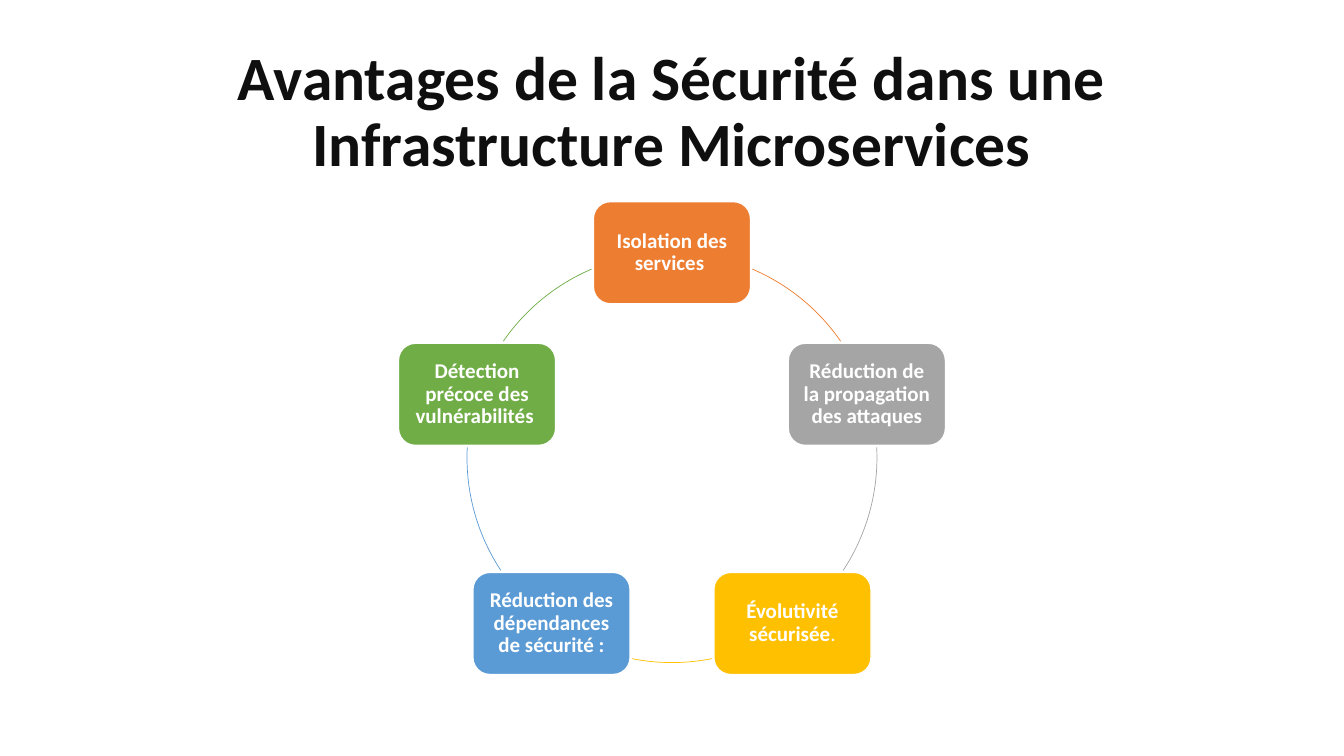
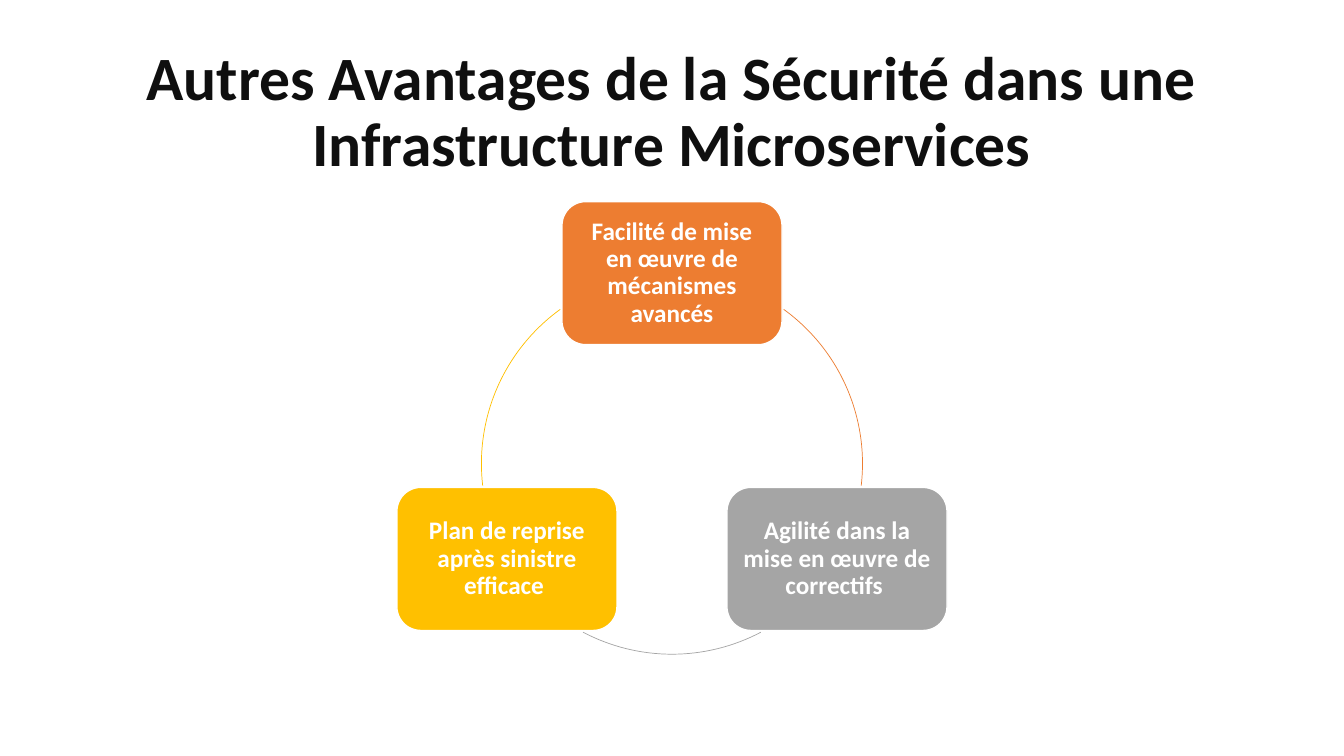
import itertools
import math
from dataclasses import dataclass

import pptx
import pptx.dml.color
import pptx.enum.shapes
import pptx.enum.text
import pptx.util

Pt = pptx.util.Pt
RGB = pptx.dml.color.RGBColor
SHAPE = pptx.enum.shapes.MSO_SHAPE


@dataclass(frozen=True)
class Theme:
    font: str = "Calibri"
    title_size: float = 44
    title_color: str = "0F0F0F"
    white: str = "FFFFFF"
    orange: str = "ED7D31"
    gray: str = "A5A5A5"
    gold: str = "FFC000"
    blue: str = "5B9BD5"
    green: str = "70AD47"


@dataclass(frozen=True)
class Run:
    text: str
    bold: bool = True


@dataclass(frozen=True)
class Node:
    color: str
    runs: tuple[Run, ...]


@dataclass(frozen=True)
class Cycle:
    title: str
    center_y: float
    radius: float
    node_width: float
    text_size: float
    nodes: tuple[Node, ...]

    @property
    def node_height(self) -> float:
        return self.node_width * NODE_RATIO


THEME = Theme()
SLIDE_W, SLIDE_H = 960, 540
TITLE_BOX = (66, 28.75, 828, 104.4)
CENTER_X = SLIDE_W / 2
NODE_RATIO = 0.65
NODE_GAP = 1.2
INSET_RATIO = 0.3
LINE_SPACING = 0.9

CYCLES = (
    Cycle(
        "Avantages de la Sécurité dans une Infrastructure Microservices",
        326.9, 146.4, 112.3, 15,
        (
            Node(THEME.orange, (Run("Isolation des services "),)),
            Node(THEME.gray, (Run("Réduction de la propagation des attaques"),)),
            Node(THEME.gold, (Run("Évolutivité sécurisée"), Run(".", False))),
            Node(THEME.blue, (Run("Réduction des dépendances de sécurité :"),)),
            Node(THEME.green, (Run("Détection précoce des vulnérabilités "),)),
        ),
    ),
    Cycle(
        "Autres Avantages de la Sécurité dans une Infrastructure Microservices",
        331.2, 136.1, 157.2, 18,
        (
            Node(THEME.orange, (Run("Facilité de mise en œuvre de mécanismes avancés"),)),
            Node(THEME.gray, (Run("Agilité dans la mise en œuvre de correctifs "),)),
            Node(THEME.gold, (Run("Plan de reprise après sinistre efficace "),)),
        ),
    ),
)


def write(tf, runs: tuple[Run, ...], size: float, color: str) -> None:
    tf.word_wrap = True
    tf.auto_size = pptx.enum.text.MSO_AUTO_SIZE.NONE
    tf.vertical_anchor = pptx.enum.text.MSO_ANCHOR.MIDDLE
    p = tf.paragraphs[0]
    p.alignment = pptx.enum.text.PP_ALIGN.CENTER
    p.line_spacing = LINE_SPACING
    for run in runs:
        r = p.add_run()
        r.text = run.text
        r.font.name = THEME.font
        r.font.size = Pt(size)
        r.font.bold = run.bold
        r.font.color.rgb = RGB.from_string(color)


def ring_point(cycle: Cycle, angle: float) -> tuple[float, float]:
    a = math.radians(angle)
    return (CENTER_X + cycle.radius * math.cos(a),
            cycle.center_y + cycle.radius * math.sin(a))


def edge_angle(cycle: Cycle, angle: float, step: float) -> float:
    x, y = ring_point(cycle, angle)
    for a in itertools.count(angle, step):
        px, py = ring_point(cycle, a)
        if (abs(px - x) > cycle.node_width / 2 + NODE_GAP
                or abs(py - y) > cycle.node_height / 2 + NODE_GAP):
            return a


def add_arc(s, cycle: Cycle, color: str, start: float, end: float) -> None:
    d = 2 * cycle.radius
    sp = s.shapes.add_shape(
        SHAPE.ARC, Pt(CENTER_X - cycle.radius),
        Pt(cycle.center_y - cycle.radius), Pt(d), Pt(d))
    for i, angle in enumerate((edge_angle(cycle, start, 0.1),
                               edge_angle(cycle, end, -0.1))):
        sp.adjustments[i] = angle % 360 * 0.6
    sp.shadow.inherit = False
    sp.fill.background()
    sp.line.color.rgb = RGB.from_string(color)
    sp.line.width = Pt(0.5)


def add_node(s, cycle: Cycle, node: Node, angle: float) -> None:
    x, y = ring_point(cycle, angle)
    w, h = cycle.node_width, cycle.node_height
    sp = s.shapes.add_shape(
        SHAPE.ROUNDED_RECTANGLE, Pt(x - w / 2), Pt(y - h / 2), Pt(w), Pt(h))
    sp.shadow.inherit = False
    sp.fill.solid()
    sp.fill.fore_color.rgb = RGB.from_string(node.color)
    sp.line.color.rgb = RGB.from_string(THEME.white)
    sp.line.width = Pt(1)
    tf = sp.text_frame
    inset = Pt(cycle.text_size * INSET_RATIO)
    tf.margin_left = tf.margin_right = tf.margin_top = tf.margin_bottom = inset
    write(tf, node.runs, cycle.text_size, THEME.white)


def add_cycle_slide(prs, cycle: Cycle) -> None:
    s = prs.slides.add_slide(prs.slide_layouts[5])
    title = s.shapes.title
    title.left, title.top, title.width, title.height = map(Pt, TITLE_BOX)
    write(title.text_frame, (Run(cycle.title),), THEME.title_size, THEME.title_color)
    step = 360 / len(cycle.nodes)
    for i, node in enumerate(cycle.nodes):
        angle = i * step - 90
        add_node(s, cycle, node, angle)
        add_arc(s, cycle, node.color, angle, angle + step)


def main() -> None:
    prs = pptx.Presentation()
    prs.slide_width, prs.slide_height = Pt(SLIDE_W), Pt(SLIDE_H)
    for cycle in CYCLES:
        add_cycle_slide(prs, cycle)
    prs.save("out.pptx")


if __name__ == "__main__":
    main()
